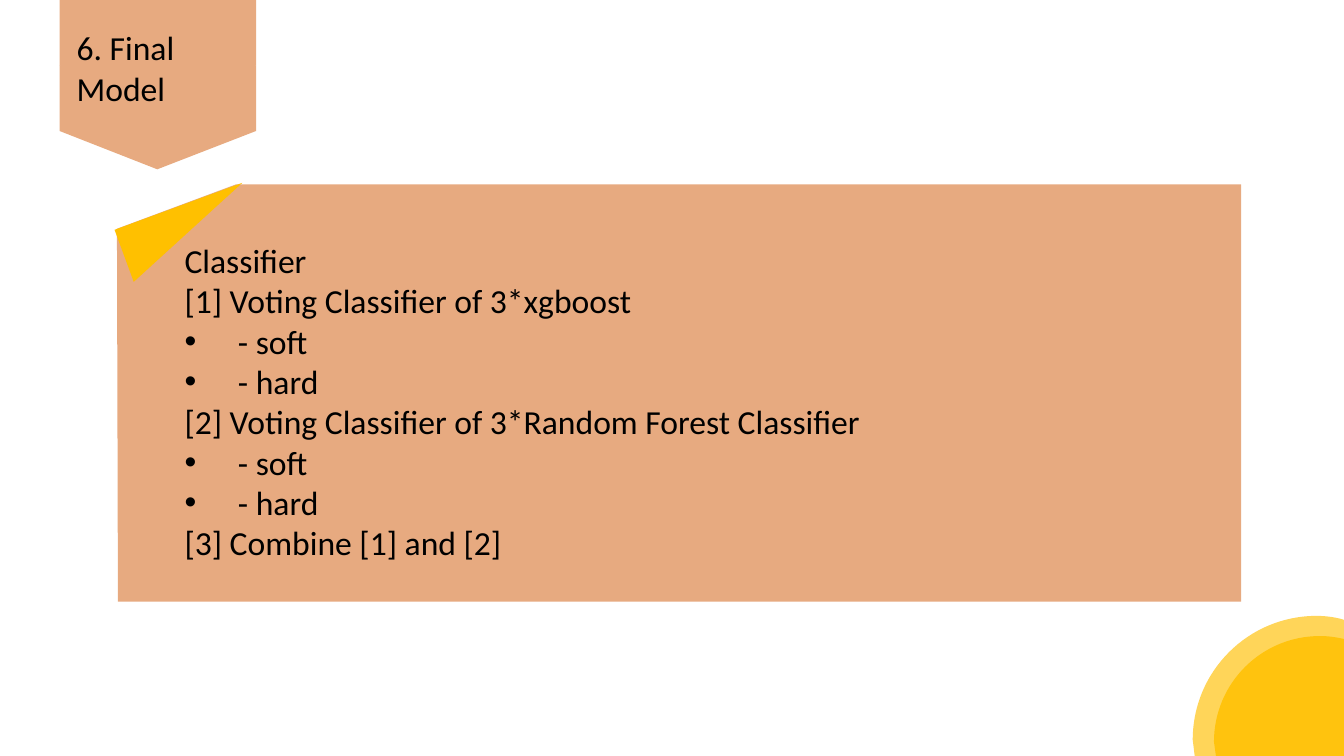
from lxml import etree
from pptx import Presentation
from pptx import util as u
from pptx.dml.color import RGBColor
from pptx.enum import shapes, text
from pptx.oxml.ns import qn

PX = 9144
PAGE = (1333, 750)
COLORS = {"peach": "E7AA80", "gold": "FFC000", "ink": "000000"}
LINES = [
    ("Classifier", False),
    ("[1] Voting Classifier of 3*xgboost", False),
    ("- soft", True),
    ("- hard", True),
    ("[2] Voting Classifier of 3*Random Forest Classifier", False),
    ("- soft", True),
    ("- hard", True),
    ("[3] Combine [1] and [2]", False),
]


def paint(shape, color, opacity=100):
    """Give a shape a flat fill without line or shadow."""
    shape.shadow.inherit = False
    shape.line.fill.background()
    shape.fill.solid()
    shape.fill.fore_color.rgb = RGBColor.from_string(COLORS[color])
    if opacity < 100:
        tint = shape.fill._xPr.find(".//" + qn("a:srgbClr"))
        etree.SubElement(tint, qn("a:alpha"), val=str(opacity * 1000))


def add_outline(page, points, color, opacity=100):
    """Draw a closed polygon through points given in px."""
    builder = page.shapes.build_freeform(*points[0], scale=PX)
    builder.add_line_segments(points[1:], close=True)
    outline = builder.convert_to_shape()
    paint(outline, color, opacity)
    return outline


def bend(outline, first):
    """Turn three straight segments, counted from first, into one Bézier curve."""
    segments = list(outline.element.iter(qn("a:lnTo")))[first:first + 3]
    curve = etree.Element(qn("a:cubicBezTo"))
    segments[0].addprevious(curve)
    for segment in segments:
        curve.append(segment[0])
        segment.getparent().remove(segment)


def place_text(holder, box, lines):
    """Move a placeholder to the front, into its box, and fill it with lines."""
    holder.left, holder.top, holder.width, holder.height = (u.Emu(n * PX) for n in box)
    holder.element.getparent().append(holder.element)
    frame = holder.text_frame
    frame.text = "\n".join(words for words, bulleted in lines)
    frame.word_wrap = True
    frame.auto_size = text.MSO_AUTO_SIZE.NONE
    frame.vertical_anchor = text.MSO_ANCHOR.TOP
    for para, (words, bulleted) in zip(frame.paragraphs, lines):
        para.alignment = text.PP_ALIGN.LEFT
        para.space_before = para.space_after = u.Pt(0)
        para.line_spacing = 1.0
        indent = 53 * PX if bulleted else 0
        props = para._p.get_or_add_pPr()
        props.set("marL", str(indent))
        props.set("indent", str(-indent))
        if bulleted:
            etree.SubElement(props, qn("a:buFont"), typeface="Arial")
            etree.SubElement(props, qn("a:buChar"), char="•")
        else:
            etree.SubElement(props, qn("a:buNone"))
        for span in para.runs:
            span.font.name = "Calibri"
            span.font.size = u.Pt(24)
            span.font.color.rgb = RGBColor.from_string(COLORS["ink"])


def add_banner(page, box):
    """Hang two overlapping pointed tags and set the title on them."""
    left, top, width, height = box
    side = 65
    for y in (top + side, top):
        add_outline(page, [
            (left, y), (left + width, y), (left + width, y + side),
            (left + width // 2, y + height - side), (left, y + side),
        ], "peach")
    place_text(page.shapes.title, (left + 7, top + 22, width, 91),
               [("6. Final Model", False)])


def add_card(page, box):
    """Draw the card with its folded corner and the list of classifiers."""
    left, top, width, height = box
    right, bottom = left + width, top + height
    add_outline(page, [(left, top + 44), (left + 118, top), (right, top),
                       (right, bottom), (left + 1, bottom)], "peach")
    fold = page.shapes.add_shape(
        shapes.MSO_SHAPE.ISOSCELES_TRIANGLE,
        *(n * PX for n in (left + 3, top + 20, 135, 55)))
    fold.adjustments[0] = 1
    fold.rotation = 159.8
    paint(fold, "gold")
    place_text(page.placeholders[1], (left + 57, top + 50, width - 61, 333), LINES)


def add_corner_disc(page, center, radius, opacity):
    """Draw the part of a disc that lies inside the bottom right page corner."""
    x, y = center
    right, bottom = PAGE
    left, top = x - radius, y - radius
    handle = round(radius * 0.55)
    disc = add_outline(page, [
        (right, bottom), (left + 2, bottom), (left, y),
        (left, y - handle), (x - handle, top), (x, top),
        (x + 8, top), (x + 16, top + 1), (x + 24, top + 3),
        (right, top + 4),
    ], "gold", opacity)
    for first in (5, 2):
        bend(disc, first)


def main():
    """Build and save the deck."""
    deck = Presentation()
    deck.slide_width, deck.slide_height = (u.Emu(n * PX) for n in PAGE)
    page = deck.slides.add_slide(deck.slide_layouts[1])
    add_banner(page, (59, 0, 195, 168))
    add_corner_disc(page, (1309, 736), 105, 84)
    add_corner_disc(page, (1306, 734), 123, 65)
    add_card(page, (116, 183, 1115, 414))
    deck.save("out.pptx")


if __name__ == "__main__":
    main()
